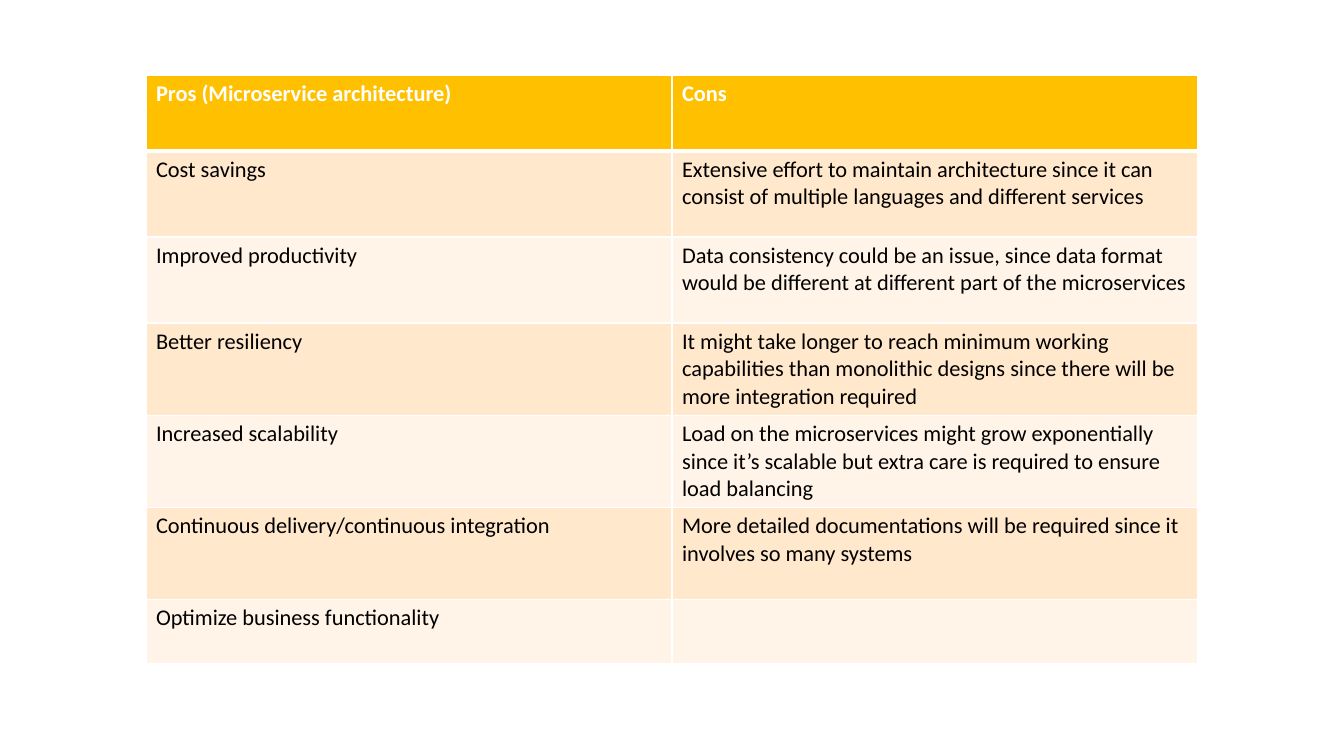
import dataclasses
import pptx
import pptx.util
import pptx.dml.color
import pptx.oxml
import pptx.oxml.ns
import lxml.etree

SCALE = 914400 / 100.8


@dataclasses.dataclass(frozen=True)
class Theme:
    font: str = "Calibri"
    size: int = 16
    head: str = "FFC000"
    bands: tuple = ("FFE8CC", "FFF4E7")
    light: str = "FFFFFF"
    dark: str = "000000"


THEME = Theme()

HEADS = ("Pros (Microservice architecture)", "Cons")
PROS = (
    "Cost savings",
    "Improved productivity",
    "Better resiliency",
    "Increased scalability",
    "Continuous delivery/continuous integration",
    "Optimize business functionality",
)
CONS = (
    "Extensive effort to maintain architecture since it can consist of "
    "multiple languages and different services",
    "Data consistency could be an issue, since data format would be "
    "different at different part of the microservices",
    "It might take longer to reach minimum working capabilities than "
    "monolithic designs since there will be more integration required",
    "Load on the microservices might grow exponentially since it’s scalable "
    "but extra care is required to ensure load balancing",
    "More detailed documentations will be required since it involves so "
    "many systems",
    "",
)
ROWS = (HEADS, *zip(PROS, CONS))
HEIGHTS = (76, 86, 86, 92, 92, 92, 64)


def px(count):
    return pptx.util.Emu(round(count * SCALE))


def color(code):
    return pptx.dml.color.RGBColor.from_string(code)


def edge(cell, side, width):
    """Draw one border of a cell; call before the cell is filled."""
    props = cell._tc.get_or_add_tcPr()
    line = lxml.etree.SubElement(props, pptx.oxml.ns.qn("a:ln" + side))
    line.set("w", str(pptx.util.Pt(width)))
    fill = lxml.etree.SubElement(line, pptx.oxml.ns.qn("a:solidFill"))
    tone = lxml.etree.SubElement(fill, pptx.oxml.ns.qn("a:srgbClr"))
    tone.set("val", THEME.light)


def style(cell, row):
    head = row == 0
    # Borders, with a heavy rule below the header
    widths = {"L": 1, "R": 1, "T": 3 if row == 1 else 1, "B": 3 if head else 1}
    for side, width in widths.items():
        edge(cell, side, width)
    # Banded fill
    cell.fill.solid()
    band = THEME.bands[(row - 1) % 2]
    cell.fill.fore_color.rgb = color(THEME.head if head else band)
    # Text
    font = cell.text_frame.paragraphs[0].font
    font.name = THEME.font
    font.size = pptx.util.Pt(THEME.size)
    font.bold = head
    font.color.rgb = color(THEME.light if head else THEME.dark)


def compare(slide, left, top, width):
    """Place the table of pros and cons in the given box."""
    frame = slide.shapes.add_table(
        len(ROWS), len(HEADS), px(left), px(top), px(width), px(sum(HEIGHTS)))
    table = frame.table
    for column in table.columns:
        column.width = px(width / len(HEADS))
    for row, (texts, height) in enumerate(zip(ROWS, HEIGHTS)):
        table.rows[row].height = px(height)
        for col, text in enumerate(texts):
            cell = table.cell(row, col)
            cell.text = text
            style(cell, row)


deck = pptx.Presentation()
deck.slide_width = px(1344)
deck.slide_height = px(756)
page = deck.slides.add_slide(deck.slide_layouts[6])
compare(page, 146, 75, 1052)
deck.save("out.pptx")
